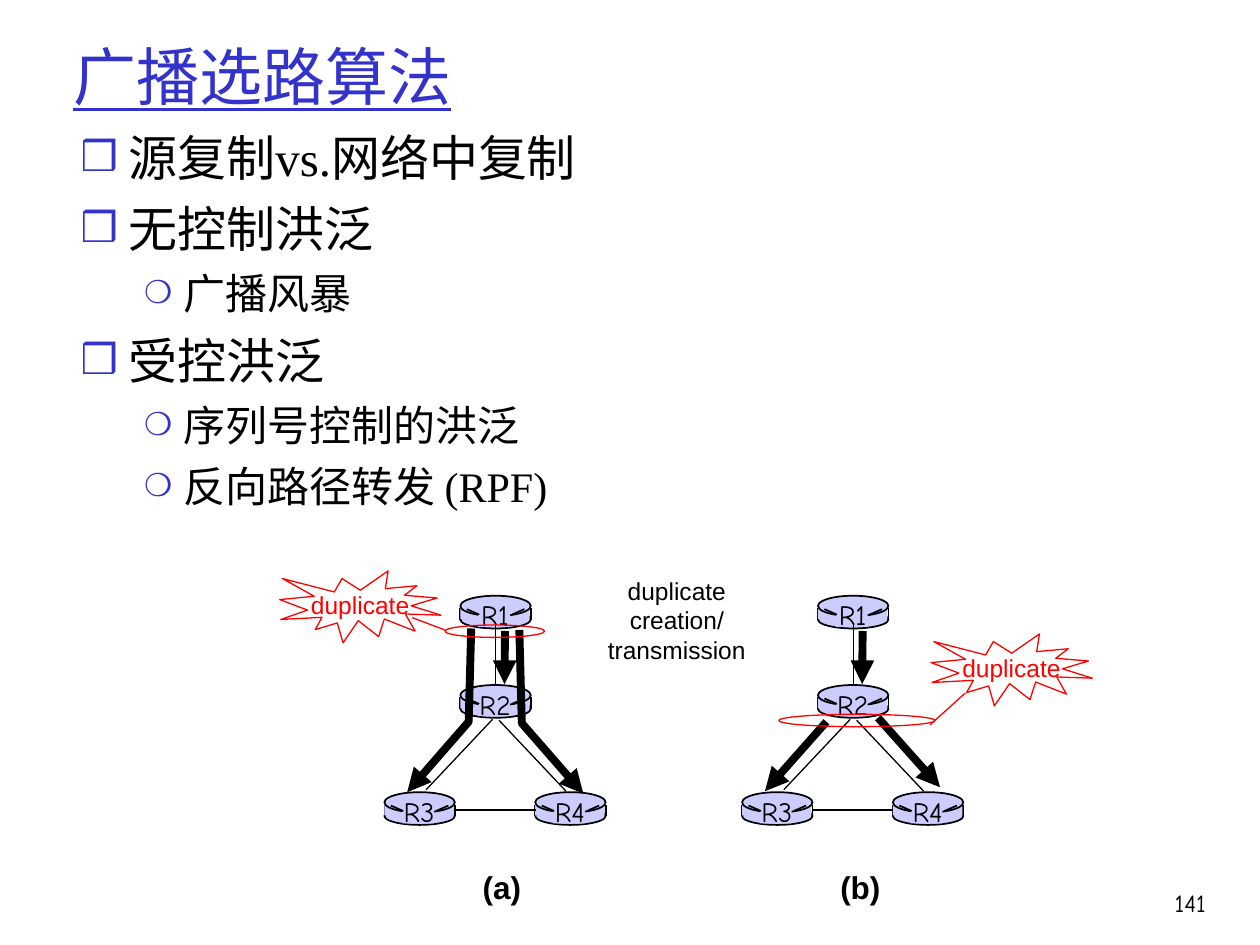
from dataclasses import dataclass

import pptx
import pptx.dml.color
import pptx.enum.shapes
import pptx.enum.text
import pptx.oxml.ns
import pptx.util
from lxml import etree

Cm = pptx.util.Cm
Pt = pptx.util.Pt
Align = pptx.enum.text.PP_ALIGN
Shape = pptx.enum.shapes.MSO_SHAPE


@dataclass(frozen=True)
class Theme:
    ink: str = "000000"
    accent: str = "3333CC"
    router: str = "CCCCFF"
    alert: str = "FF0000"
    serif: str = "Times New Roman"
    sans: str = "Arial"
    hand: str = "Comic Neue"
    title: int = 36
    body: tuple = (28, 24)
    caption: int = 18
    label: int = 16
    note: int = 14
    thin: float = 0.75
    edge: float = 1
    thick: float = 4.5


T = Theme()

# Per list level: character, size in thousandths of a percent, margin, hang, space before
BULLETS = (("❒", 85000, 0.97, 0.97, 7), ("❍", 75000, 2.07, 0.79, 6))
ROUTERS = {"R1": (1.53, 0), "R2": (1.53, 1.8), "R3": (0, 3.96), "R4": (3.04, 3.96)}
LINKS = (
    ((2.24, 0.58), (2.24, 1.8)),
    ((2.18, 2.49), (0.84, 3.91)),
    ((2.31, 2.51), (3.66, 3.94)),
    ((1.42, 4.32), (3.05, 4.32)),
)
FIRST_HOP = ((2.43, 0.71), (2.42, 1.78))
SOURCE_FLOWS = (
    FIRST_HOP,
    ((2.72, 0.69), (2.77, 2.57), (4.01, 3.99)),
    ((1.75, 0.66), (1.7, 2.54), (0.46, 3.96)),
)
NETWORK_FLOWS = (
    FIRST_HOP,
    ((2.74, 2.46), (3.99, 3.86)),
    ((1.7, 2.54), (0.46, 3.94)),
)


def rgb(value):
    return pptx.dml.color.RGBColor.from_string(value)


def sub(parent, tag, **attrs):
    return etree.SubElement(parent, pptx.oxml.ns.qn(tag), attrs)


def write(p, text, size, font=T.sans, color=T.ink, bold=False, underline=False,
          align=Align.LEFT):
    p.alignment = align
    r = p.add_run()
    r.text = text
    r.font.size = Pt(size)
    r.font.name = font
    r.font.bold = bold
    r.font.underline = underline
    r.font.color.rgb = rgb(color)


def place(sp, x, y, w, h):
    sp.left, sp.top, sp.width, sp.height = Cm(x), Cm(y), Cm(w), Cm(h)


def label(slide, box, lines, size, wrap=False, **fmt):
    tf = slide.shapes.add_textbox(*map(Cm, box)).text_frame
    tf.word_wrap = wrap
    for i, text in enumerate(lines):
        write(tf.add_paragraph() if i else tf.paragraphs[0], text, size, **fmt)


def shape(slide, kind, x, y, w, h, fill=None, line=None, width=T.edge):
    sp = slide.shapes.add_shape(kind, Cm(x), Cm(y), Cm(w), Cm(h))
    sp.shadow.inherit = False
    if fill:
        sp.fill.solid()
        sp.fill.fore_color.rgb = rgb(fill)
    else:
        sp.fill.background()
    if line:
        sp.line.color.rgb = rgb(line)
        sp.line.width = Pt(width)
    else:
        sp.line.fill.background()


def path(slide, x, y, points, width=T.thin, color=T.ink, arrow=False):
    """Draw an open line through points given relative to (x, y)."""
    pts = [(Cm(x + px), Cm(y + py)) for px, py in points]
    if len(pts) == 2:
        straight = pptx.enum.shapes.MSO_CONNECTOR.STRAIGHT
        s = slide.shapes.add_connector(straight, *pts[0], *pts[1])
    else:
        builder = slide.shapes.build_freeform(*pts[0])
        builder.add_line_segments(pts[1:], close=False)
        s = builder.convert_to_shape()
        s.fill.background()
    s.line.color.rgb = rgb(color)
    s.line.width = Pt(width)
    if arrow:
        sub(s.line._get_or_add_ln(), "a:tailEnd", type="triangle")
    sub(s._element.spPr, "a:effectLst")


def router(slide, x, y, name):
    w = 1.42
    shape(slide, Shape.OVAL, x, y + 0.3, w, 0.36, T.router, T.ink)
    for side in (0, w):
        path(slide, x, y, ((side, 0.25), (side, 0.48)), T.edge)
    shape(slide, Shape.RECTANGLE, x, y + 0.25, 1.4, 0.22, T.router)
    shape(slide, Shape.OVAL, x, y, w, 0.41, T.router, T.ink)
    shape(slide, Shape.RECTANGLE, x + 0.36, y + 0.05, 0.64, 0.58, T.router)
    stroke = ((0.13, 0.27), (0.38, 0.38))
    path(slide, x, y, stroke, T.edge)
    path(slide, x, y, [(w - px, py) for px, py in stroke], T.edge)
    label(slide, (x - 0.1, y - 0.08, 1.6, 0.94), [name], T.label,
          font=T.hand, align=Align.CENTER)


def network(slide, x, y, caption, flows):
    for name, (dx, dy) in ROUTERS.items():
        router(slide, x + dx, y + dy, name)
    for link in LINKS:
        path(slide, x, y, link)
    label(slide, (x + 1.73, y + 5.36, 1.8, 1.02), [caption], T.caption, bold=True)
    for flow in flows:
        path(slide, x, y, flow, T.thick, arrow=True)


def callout(slide, x, y, ring, leader):
    """Star with its text at (x, y); ring and leader are relative to it."""
    shape(slide, Shape.EXPLOSION1, x, y, 3.25, 1.45, line=T.alert, width=T.thin)
    label(slide, (x + 0.38, y + 0.25, 2.6, 0.86), ["duplicate"], T.note,
          color=T.alert)
    rx, ry, rw, rh = ring
    shape(slide, Shape.OVAL, x + rx, y + ry, rw, rh, line=T.alert, width=T.thin)
    path(slide, x, y, leader, color=T.alert)


def title(slide, x, y, w, h, text):
    sp = slide.shapes.title
    place(sp, x, y, w, h)
    tf = sp.text_frame
    tf.auto_size = pptx.enum.text.MSO_AUTO_SIZE.NONE
    tf.vertical_anchor = pptx.enum.text.MSO_ANCHOR.MIDDLE
    write(tf.paragraphs[0], text, T.title, font=T.serif, color=T.accent,
          underline=True)


def outline(slide, x, y, w, h, items):
    sp = slide.placeholders[1]
    place(sp, x, y, w, h)
    tf = sp.text_frame
    tf.auto_size = pptx.enum.text.MSO_AUTO_SIZE.NONE
    for i, (level, text) in enumerate(items):
        p = tf.add_paragraph() if i else tf.paragraphs[0]
        char, size, margin, hang, before = BULLETS[level]
        p.level = level
        pPr = p._p.get_or_add_pPr()
        pPr.set("marL", str(Cm(margin)))
        pPr.set("indent", str(-Cm(hang)))
        sub(sub(pPr, "a:buClr"), "a:srgbClr", val=T.accent)
        sub(pPr, "a:buSzPct", val=str(size))
        sub(pPr, "a:buChar", char=char)
        p.space_before = Pt(before if i else 0)
        write(p, text, T.body[level], font=T.serif)


def main():
    prs = pptx.Presentation()
    prs.slide_width, prs.slide_height = Cm(25.4), Cm(19.05)
    slide = prs.slides.add_slide(prs.slide_layouts[1])
    title(slide, 1.22, 0.56, 23.32, 1.9, "广播选路算法")
    outline(slide, 1.37, 2.44, 21.77, 14.55, (
        (0, "源复制vs.网络中复制"),
        (0, "无控制洪泛"),
        (1, "广播风暴"),
        (0, "受控洪泛"),
        (1, "序列号控制的洪泛"),
        (1, "反向路径转发 (RPF)"),
    ))
    network(slide, 7.75, 12.01, "(a)", SOURCE_FLOWS)
    network(slide, 14.96, 12.01, "(b)", NETWORK_FLOWS)
    label(slide, (11.46, 11.48, 4.37, 2.03), ["duplicate", "creation/transmission"],
          T.note, wrap=True, align=Align.CENTER)
    callout(slide, 5.64, 11.51, (3.33, 1.09, 2.01, 0.25), ((3.33, 1.19), (2.67, 0.94)))
    callout(slide, 18.77, 12.78, (-3.07, 1.62, 3.15, 0.25), ((0.69, 1.19), (-0.02, 1.83)))
    label(slide, (22.68, 17.78, 1.88, 1.27), ["141"], T.note, wrap=True,
          font=T.hand, align=Align.RIGHT)
    prs.save("out.pptx")


if __name__ == "__main__":
    main()
